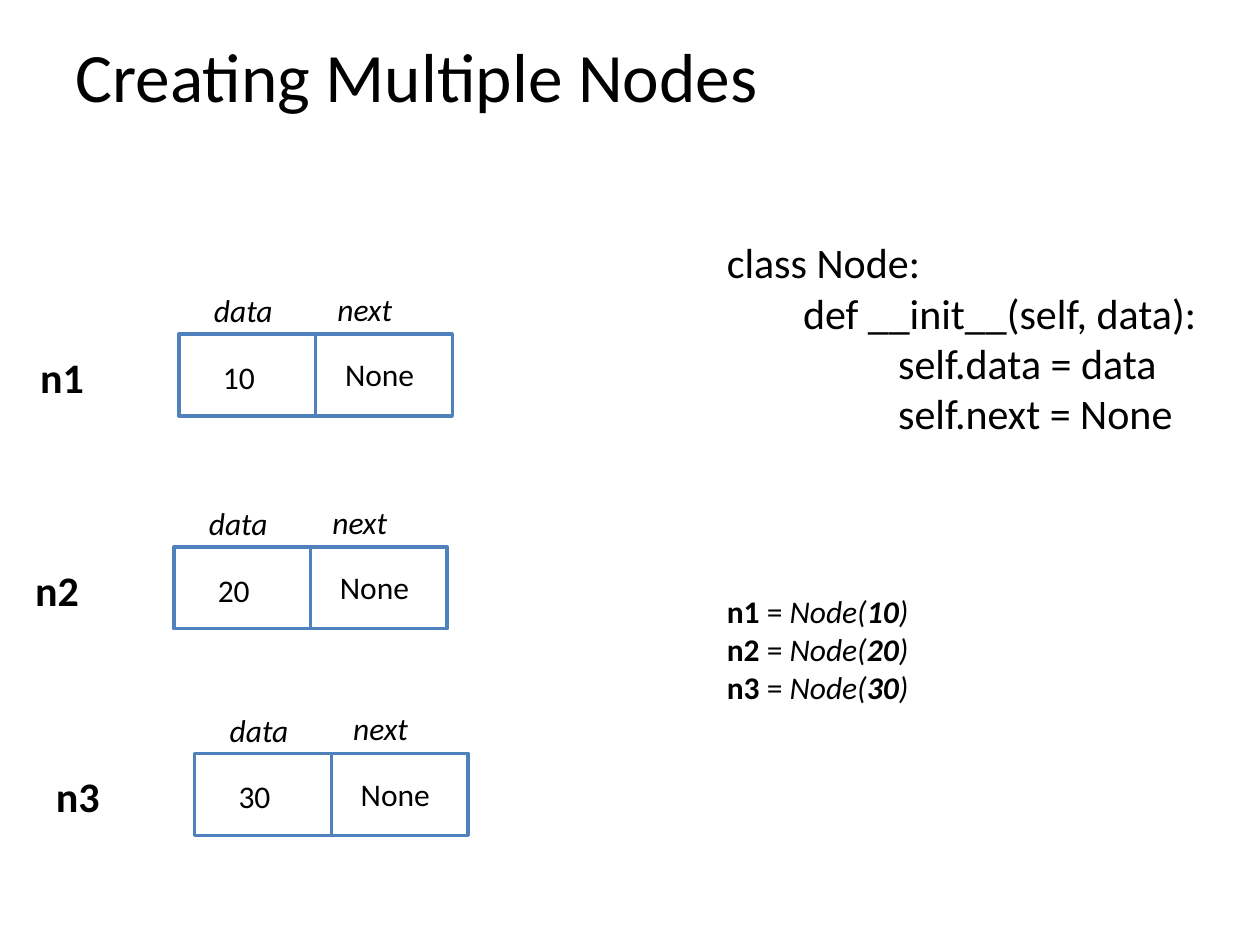
from pptx import Presentation
from pptx.dml.color import RGBColor as RGB
from pptx.enum.shapes import MSO_SHAPE as SHAPE
from pptx.enum.text import MSO_ANCHOR as ANCHOR
from pptx.util import Inches, Pt

COLORS = {"text": "000000", "cell": "FFFFFF", "edge": "4F81BD"}
FONT = "Calibri"

prs = Presentation()
prs.slide_width, prs.slide_height = Inches(10), Inches(7.5)
COL, ROW = prs.slide_width / 100, prs.slide_height / 75


def grid(x, y, w, h):
    """Turn columns and rows of a 100 by 75 grid into slide lengths."""
    return [round(n * unit) for n, unit in zip((x, y, w, h), (COL, ROW, COL, ROW))]


def add_run(p, text, size, **fmt):
    """Append a run, setting its font from the given format values."""
    r = p.add_run()
    r.text = text
    for name, value in {"name": FONT, "size": Pt(size), **fmt}.items():
        setattr(r.font, name, value)
    r.font.color.rgb = RGB.from_string(COLORS["text"])


def add_text(shapes, box, text="", size=18, anchor=ANCHOR.TOP, **fmt):
    """Place a wrapping text box and return its text frame."""
    tf = shapes.add_textbox(*grid(*box)).text_frame
    tf.word_wrap = True
    tf.vertical_anchor = anchor
    if text:
        add_run(tf.paragraphs[0], text, size, **fmt)
    return tf


def add_cell(shapes, box):
    """Draw one outlined field of a node."""
    sp = shapes.add_shape(SHAPE.RECTANGLE, *grid(*box))
    sp.shadow.inherit = False
    sp.fill.solid()
    sp.fill.fore_color.rgb = RGB.from_string(COLORS["cell"])
    sp.line.color.rgb = RGB.from_string(COLORS["edge"])
    sp.line.width = Pt(2)


def add_node(s, x, y, name, value):
    """Group a node's two fields, their captions and its name at (x, y)."""
    shapes = s.shapes.add_group_shape().shapes
    cell_w, cell_h = 10.85, 6.5
    for i in (1, 0):
        add_cell(shapes, (x + 12 + i * cell_w, y + 4, cell_w, cell_h))
    labels = [
        (14.5, 5.4, 5.8, 4, value, {}),
        (24.2, 5.2, 9.7, 4, "None", {}),
        (13.8, 0.1, 12, 4, "data", {"italic": True}),
        (23.6, 0, 12, 4, "next", {"italic": True}),
        (0, 4.9, 5.8, 5, name, {"size": 24, "bold": True}),
    ]
    for dx, dy, w, h, text, fmt in labels:
        add_text(shapes, (x + dx, y + dy, w, h), text, **fmt)


def add_code(s, box, nodes):
    """Write the class definition, then one assignment for each node."""
    tf = add_text(s.shapes, box)
    lines = [
        (0, "class Node:"),
        (6.05, "def __init__(self, data):"),
        (13.6, "self.data = data"),
        (13.6, "self.next = None"),
    ]
    for i, (indent, text) in enumerate(lines):
        p = tf.add_paragraph() if i else tf.paragraphs[0]
        p._p.get_or_add_pPr().set("marL", str(round(indent * COL)))
        add_run(p, text, 24)
    for i, (name, value) in enumerate(nodes):
        p = tf.add_paragraph()
        p.space_before = Pt(0 if i else 88)
        add_run(p, name, 18, bold=True)
        add_run(p, " = ", 18)
        add_run(p, "Node(", 18, italic=True)
        add_run(p, value, 18, italic=True, bold=True)
        add_run(p, ")", 18, italic=True)


def build_slide(prs):
    """Lay out the title, the code and the column of nodes."""
    s = prs.slides.add_slide(prs.slide_layouts[6])
    nodes = [("n1", "10"), ("n2", "20"), ("n3", "30")]
    origins = [(2.2, 22.5), (1.8, 39.4), (3.45, 55.8)]
    add_text(s.shapes, (5, 2.7, 90, 6.5), "Creating Multiple Nodes", 39.6, ANCHOR.MIDDLE)
    add_code(s, (56.7, 18.3, 43.3, 53.5), nodes)
    for (x, y), (name, value) in zip(origins, nodes):
        add_node(s, x, y, name, value)


build_slide(prs)
prs.save("out.pptx")
